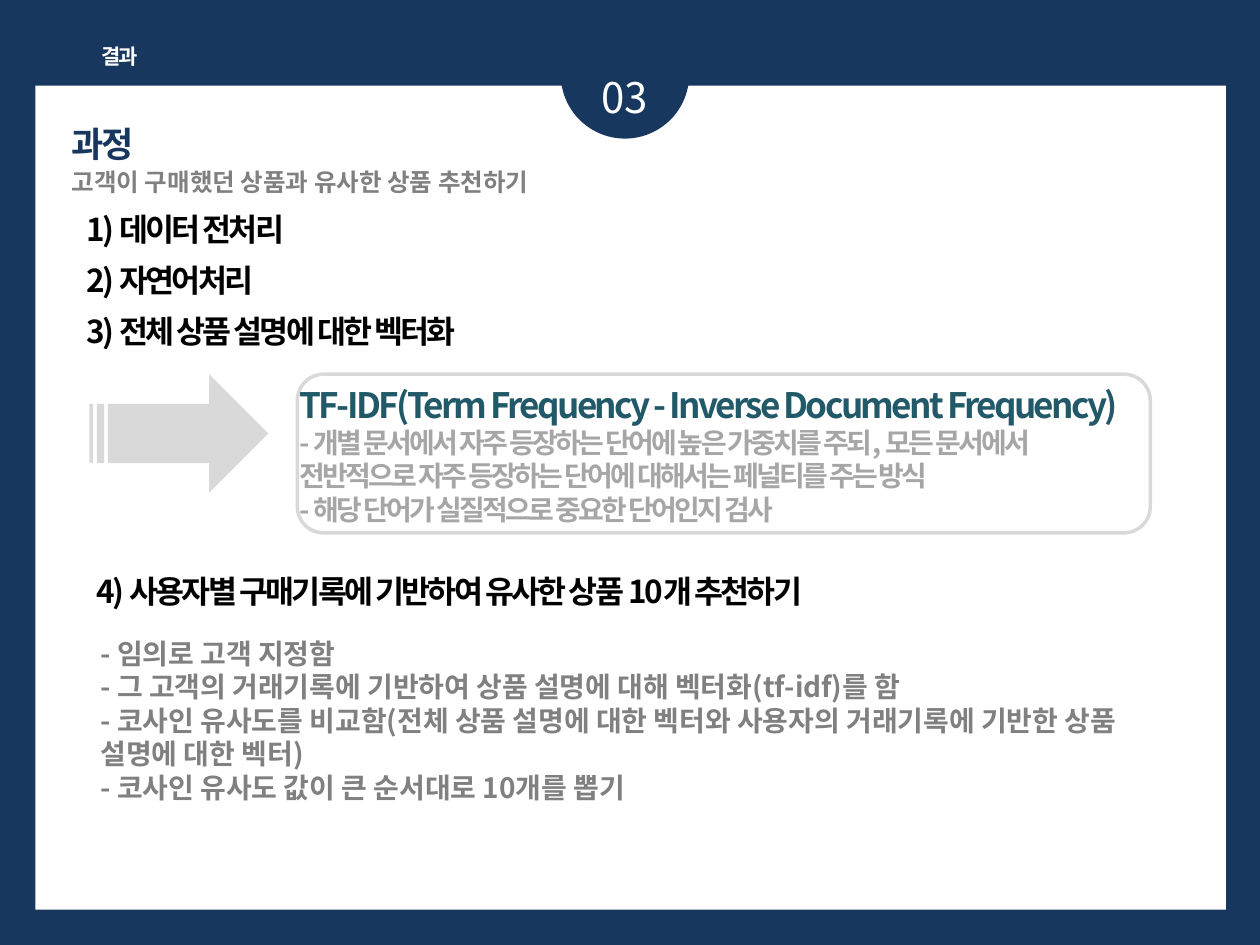
from lxml import etree
from pptx import Presentation
from pptx import util as u
from pptx.dml.color import RGBColor
from pptx.enum import shapes, text
from pptx.oxml.ns import qn

COLORS = {
    "navy": "17375E", "white": "FFFFFF", "black": "000000", "teal": "215968",
    "gray": "808080", "light": "A6A6A6", "pale": "D9D9D9",
}
FONT = "Noto Sans CJK KR"
COLS, ROWS = 100, 75
TIGHT = -1.5


def rgb(name):
    return RGBColor.from_string(COLORS[name])


def add_text(tf, content, size, color, bold=True, spacing=0,
             align=text.PP_ALIGN.LEFT, leading=None, first=False):
    """Append one formatted paragraph; first reuses the frame's own paragraph."""
    p = tf.paragraphs[0] if first else tf.add_paragraph()
    p.alignment = align
    if leading:
        p.line_spacing = leading
    r = p.add_run()
    r.text = content
    r.font.size, r.font.bold, r.font.name = u.Pt(size), bold, FONT
    r.font.color.rgb = rgb(color)
    props = r.font._element
    etree.SubElement(props, qn("a:ea")).set("typeface", FONT)
    if spacing:
        props.set("spc", str(round(spacing * 100)))


class Deck:
    """Places elements on a grid of COLS by ROWS cells."""

    def __init__(self, width, height):
        self.prs = Presentation()
        self.prs.slide_width, self.prs.slide_height = u.Inches(width), u.Inches(height)
        self.slide = self.prs.slides.add_slide(self.prs.slide_layouts[6])

    def background(self, color):
        fill = self.slide.background.fill
        fill.solid()
        fill.fore_color.rgb = rgb(color)

    def box(self, x, y, w, h):
        cw, rh = self.prs.slide_width / COLS, self.prs.slide_height / ROWS
        return [round(v) for v in (x * cw, y * rh, w * cw, h * rh)]

    def shape(self, kind, at, fill=None, line=None):
        sp = self.slide.shapes.add_shape(kind, *self.box(*at))
        sp.shadow.inherit = False
        if fill:
            sp.fill.solid()
            sp.fill.fore_color.rgb = rgb(fill)
        else:
            sp.fill.background()
        if line:
            sp.line.color.rgb = rgb(line)
            sp.line.width = u.Pt(2)
        else:
            sp.line.fill.background()

    def textbox(self, at, *paragraphs):
        """Each paragraph is a (content, format) pair."""
        tf = self.slide.shapes.add_textbox(*self.box(*at)).text_frame
        tf.word_wrap = True
        tf.auto_size = text.MSO_AUTO_SIZE.SHAPE_TO_FIT_TEXT
        for i, (content, style) in enumerate(paragraphs):
            add_text(tf, content, first=i == 0, **style)


def main():
    d = Deck(10, 7.5)
    kinds = shapes.MSO_SHAPE
    center = text.PP_ALIGN.CENTER
    step = dict(size=18, color="black", spacing=TIGHT)
    note = dict(size=16, color="light", spacing=TIGHT)
    detail = dict(size=16, color="gray")

    d.background("navy")
    d.shape(kinds.RECTANGLE, (2.8, 6.8, 94.5, 65.4), fill="white")
    d.shape(kinds.OVAL, (44.5, 0.8, 10.2, 10.2), fill="navy")
    d.textbox((43.7, 5.2, 11.8, 5),
              ("03", dict(size=24, color="white", bold=False, align=center)))
    d.textbox((7, 3, 5, 3),
              ("결과", dict(size=12, color="white", spacing=TIGHT, align=center)))
    d.textbox((4.7, 9.2, 18.9, 4.4),
              ("과정", dict(size=20, color="navy", spacing=TIGHT)))
    d.textbox((4.7, 12.8, 58.6, 3.4),
              ("고객이 구매했던 상품과 유사한 상품 추천하기", dict(size=14, color="gray")))

    steps = ["1) 데이터 전처리", "2) 자연어처리", "3) 전체 상품 설명에 대한 벡터화"]
    for i, name in enumerate(steps):
        d.textbox((5.9, 16.2 + 4.05 * i, 74, 4), (name, step))

    d.shape(kinds.STRIPED_RIGHT_ARROW, (7.1, 29.7, 14.2, 9.4), fill="pale")
    d.shape(kinds.ROUNDED_RECTANGLE, (23.6, 29.7, 67.7, 12.6), line="pale")
    d.textbox(
        (22.8, 26.6, 68.4, 15.8),
        ("TF-IDF(Term Frequency - Inverse Document Frequency)",
         dict(size=20, color="teal", spacing=TIGHT, leading=2.0)),
        ("- 개별 문서에서 자주 등장하는 단어에 높은 가중치를 주되, 모든 문서에서 "
         "전반적으로 자주 등장하는 단어에 대해서는 페널티를 주는 방식", note),
        ("- 해당 단어가 실질적으로 중요한 단어인지 검사", note))

    d.textbox((6.7, 44.9, 74, 4),
              ("4) 사용자별 구매기록에 기반하여 유사한 상품 10개 추천하기", step))
    d.textbox(
        (7, 50, 88.4, 14.5),
        ("- 임의로 고객 지정함", detail),
        ("- 그 고객의 거래기록에 기반하여 상품 설명에 대해 벡터화(tf-idf)를 함", detail),
        ("- 코사인 유사도를 비교함(전체 상품 설명에 대한 벡터와 사용자의 거래기록에 "
         "기반한 상품 설명에 대한 벡터)", detail),
        ("- 코사인 유사도 값이 큰 순서대로 10개를 뽑기", detail))

    d.prs.save("out.pptx")


if __name__ == "__main__":
    main()
